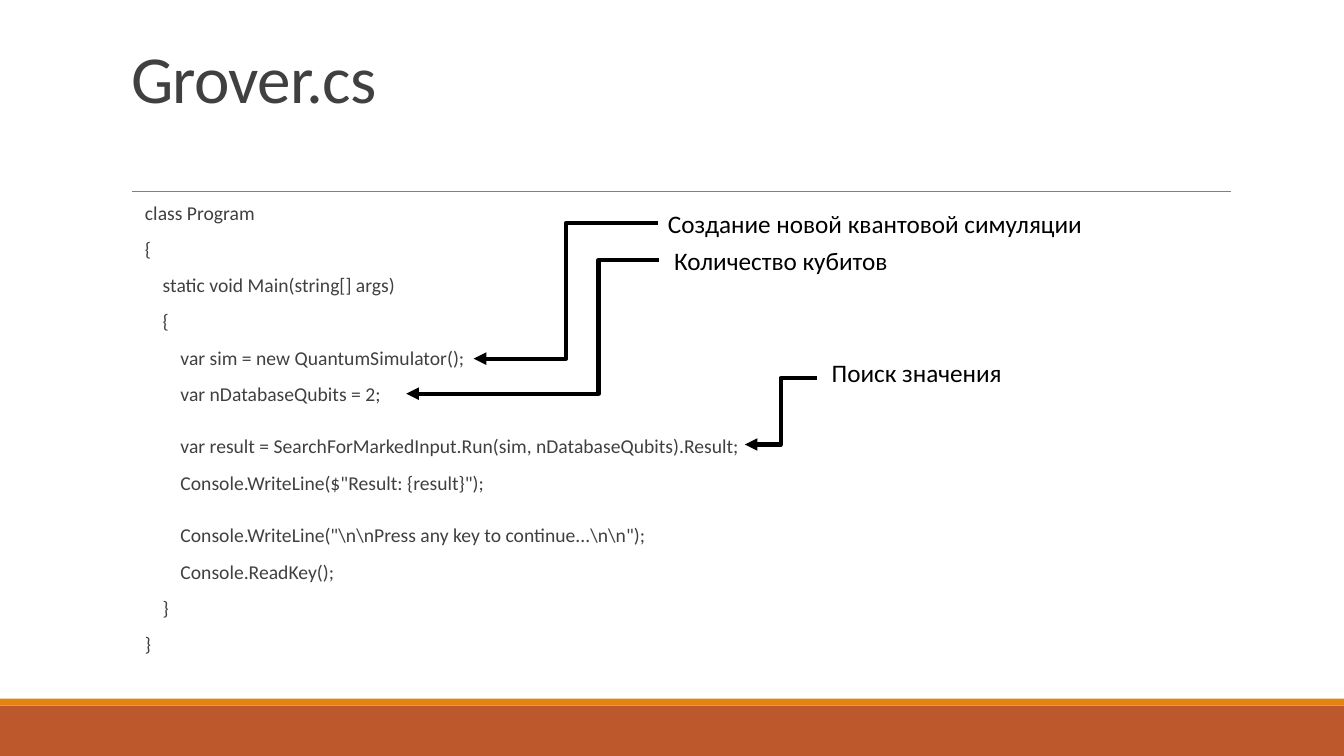
from lxml import etree
from pptx import Presentation
from pptx.dml.color import RGBColor
from pptx.enum.shapes import MSO_CONNECTOR, MSO_SHAPE
from pptx.enum.text import MSO_ANCHOR, MSO_AUTO_SIZE, PP_ALIGN
from pptx.oxml.ns import qn
from pptx.util import Pt

RECTANGLE = MSO_SHAPE.RECTANGLE
STRAIGHT, ELBOW = MSO_CONNECTOR.STRAIGHT, MSO_CONNECTOR.ELBOW
BOTTOM, LEFT, NO_FIT = MSO_ANCHOR.BOTTOM, PP_ALIGN.LEFT, MSO_AUTO_SIZE.NONE

FONT = "Calibri"
COLORS = {
    "band": "BD582C",
    "stripe": "E48312",
    "rule": "808080",
    "text": "404040",
    "callout": "000000",
}
WIDTH, HEIGHT = 960, 540

# Code lines: indent level, text, space before
LINE_GAP, BLOCK_GAP = 12, 24
CODE_MARGIN, CODE_INDENT = 19.4, 12.66
CODE = [
    (0, "class Program", LINE_GAP),
    (0, "{", LINE_GAP),
    (1, "static void Main(string[] args)", LINE_GAP),
    (1, "{", LINE_GAP),
    (2, "var sim = new QuantumSimulator();", LINE_GAP),
    (2, "var nDatabaseQubits = 2;", LINE_GAP),
    (2, "var result = SearchForMarkedInput.Run(sim, nDatabaseQubits).Result;", BLOCK_GAP),
    (2, 'Console.WriteLine($"Result: {result}");', LINE_GAP),
    (2, r'Console.WriteLine("\n\nPress any key to continue...\n\n");', BLOCK_GAP),
    (2, "Console.ReadKey();", LINE_GAP),
    (1, "}", LINE_GAP),
    (0, "}", LINE_GAP),
]

# Callouts: text, label left/top/width, arrow start, arrow end, bend position
CALLOUTS = [
    ("Создание новой квантовой симуляции", (470, 145, 335), (470, 159.6), (338.4, 256.2), 0.5),
    ("Количество кубитов", (474.5, 171.6, 302), (470.9, 185.8), (290.2, 281.2), 0.24),
    ("Поиск значения", (587, 251.6, 258), (583.4, 270), (532.1, 317.5), 0.5),
]


def color(name):
    return RGBColor.from_string(COLORS[name])


def add_run(paragraph, text, size, color_name):
    run = paragraph.add_run()
    run.text = text
    run.font.name = FONT
    run.font.size = Pt(size)
    run.font.color.rgb = color(color_name)
    return run


def add_bar(slide, top, height, color_name):
    shape = slide.shapes.add_shape(RECTANGLE, 0, Pt(top), Pt(WIDTH), Pt(height))
    shape.shadow.inherit = False
    shape.fill.solid()
    shape.fill.fore_color.rgb = color(color_name)
    shape.line.fill.background()


def add_line(slide, kind, start, end, color_name, width):
    points = [Pt(value) for value in (*start, *end)]
    connector = slide.shapes.add_connector(kind, *points)
    connector.line.color.rgb = color(color_name)
    connector.line.width = Pt(width)
    etree.SubElement(connector._element.spPr, qn("a:effectLst"))
    return connector


def add_arrow(slide, start, end, bend):
    connector = add_line(slide, ELBOW, start, end, "callout", 3)
    line = connector._element.spPr.find(qn("a:ln"))
    etree.SubElement(line, qn("a:tailEnd"), type="triangle")
    guides = connector._element.spPr.find(qn("a:prstGeom")).find(qn("a:avLst"))
    etree.SubElement(guides, qn("a:gd"), name="adj1", fmla=f"val {round(bend * 100000)}")


def add_text_frame(slide, left, top, width, height):
    box = slide.shapes.add_textbox(Pt(left), Pt(top), Pt(width), Pt(height))
    box.text_frame.word_wrap = True
    return box.text_frame


def set_title(slide, text):
    title = slide.shapes.title
    title.left, title.top, title.width, title.height = Pt(86.4), Pt(22.6), Pt(792), Pt(64.8)
    frame = title.text_frame
    frame.auto_size = NO_FIT
    frame.vertical_anchor = BOTTOM
    paragraph = frame.paragraphs[0]
    paragraph.alignment = LEFT
    paragraph.line_spacing = 0.85
    run = add_run(paragraph, text, 48, "text")
    run.font._element.set("spc", "-50")


def add_code(slide):
    frame = add_text_frame(slide, 84.2, 144.7, 792, 339)
    frame.margin_left = frame.margin_right = 0
    for index, (level, text, gap) in enumerate(CODE):
        paragraph = frame.add_paragraph() if index else frame.paragraphs[0]
        paragraph.line_spacing = 0.7
        paragraph.space_before = Pt(gap)
        paragraph.space_after = Pt(2)
        indent = Pt(CODE_MARGIN + level * CODE_INDENT)
        paragraph._p.get_or_add_pPr().set("marL", str(indent))
        add_run(paragraph, text, 14, "text")


def add_callout(slide, text, label, start, end, bend):
    add_arrow(slide, start, end, bend)
    frame = add_text_frame(slide, *label, 29)
    add_run(frame.paragraphs[0], text, 18, "callout")


def main():
    presentation = Presentation()
    presentation.slide_width, presentation.slide_height = Pt(WIDTH), Pt(HEIGHT)
    slide = presentation.slides.add_slide(presentation.slide_layouts[5])

    # Footer bands and rule under the title
    add_bar(slide, 504, 36, "band")
    add_bar(slide, 499, 5, "stripe")
    add_line(slide, STRAIGHT, (94.3, 136.8), (879, 136.8), "rule", 0.5)

    # Title and code
    set_title(slide, "Grover.cs")
    add_code(slide)

    # Callouts pointing at code lines
    for callout in CALLOUTS:
        add_callout(slide, *callout)

    presentation.save("out.pptx")


if __name__ == "__main__":
    main()
